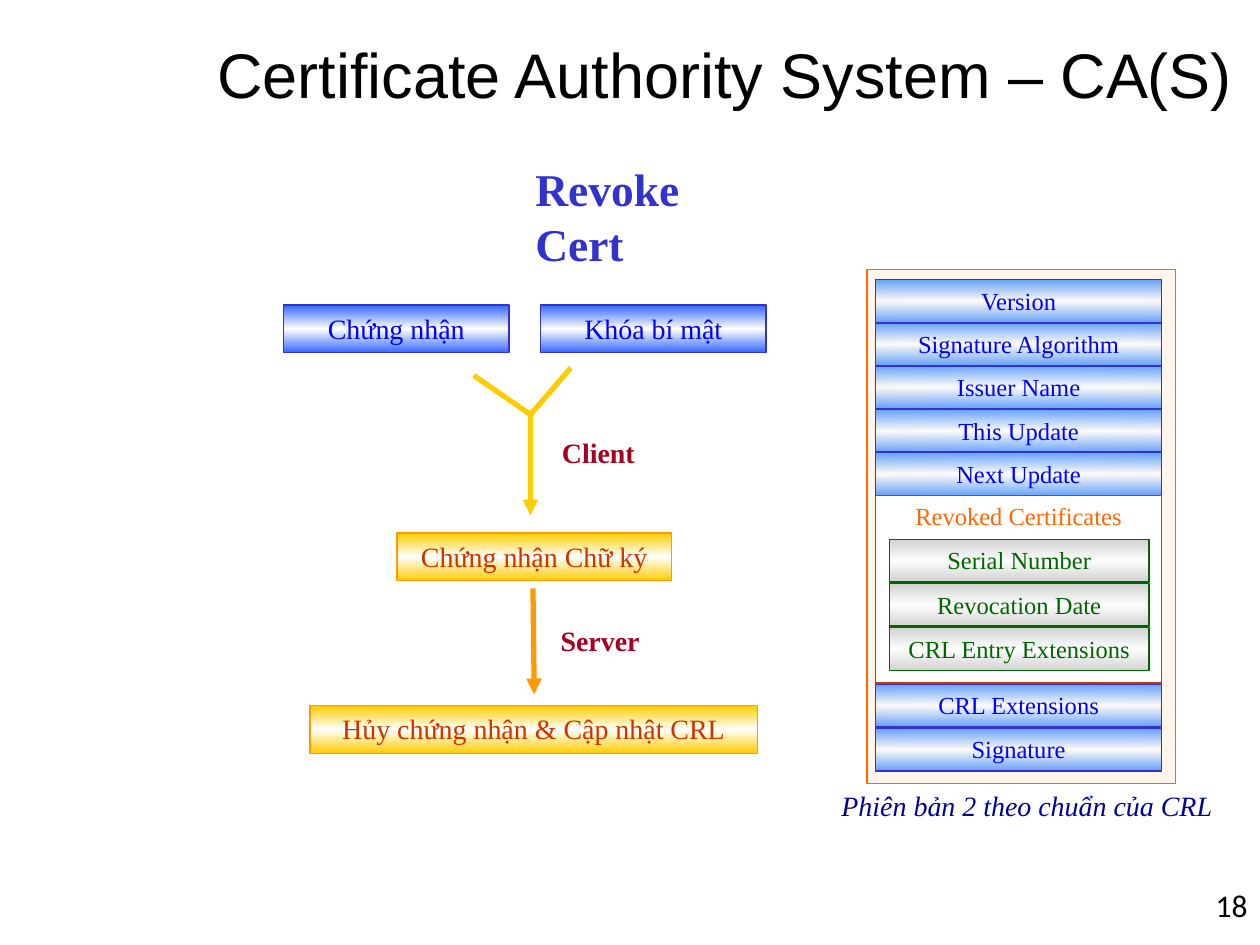
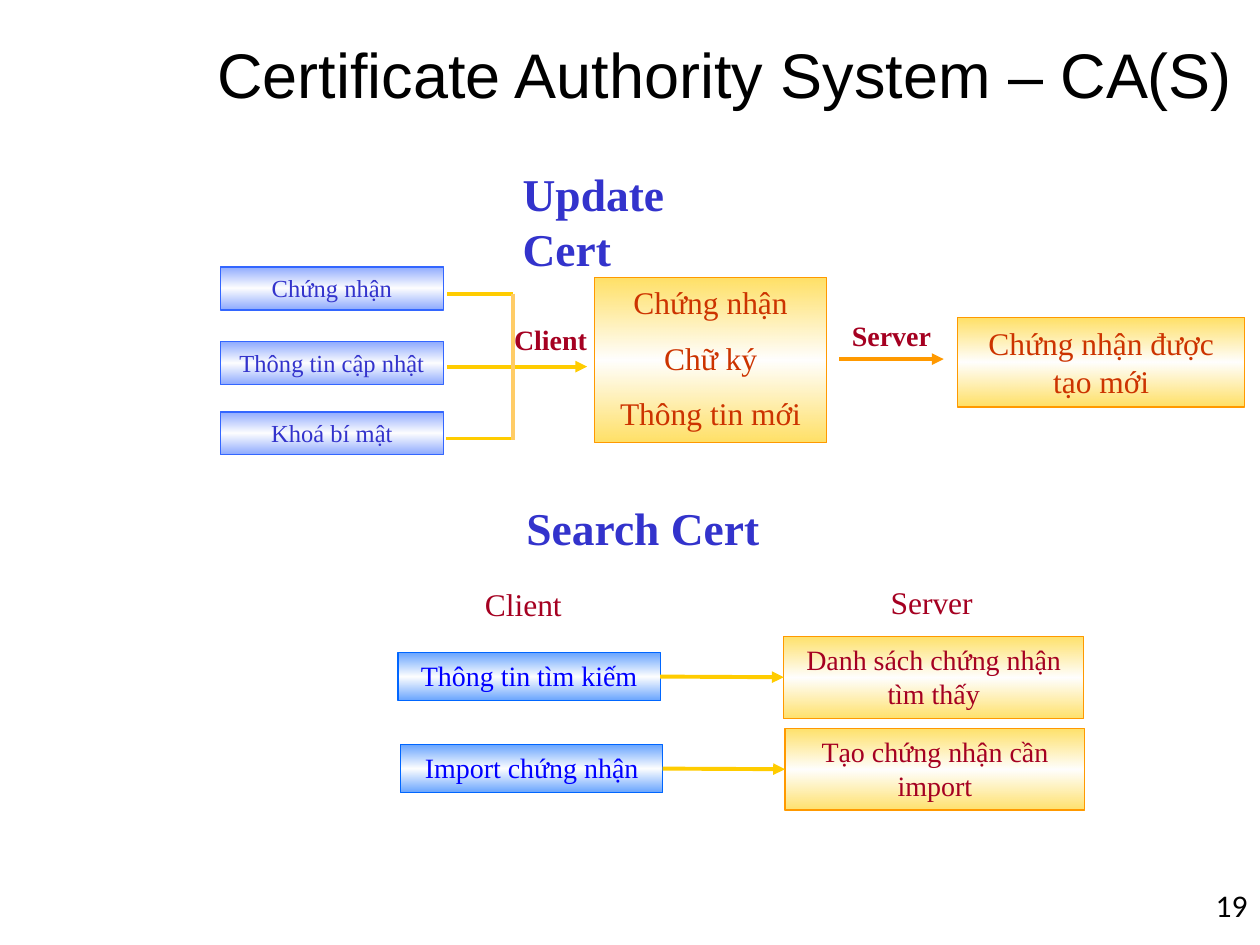
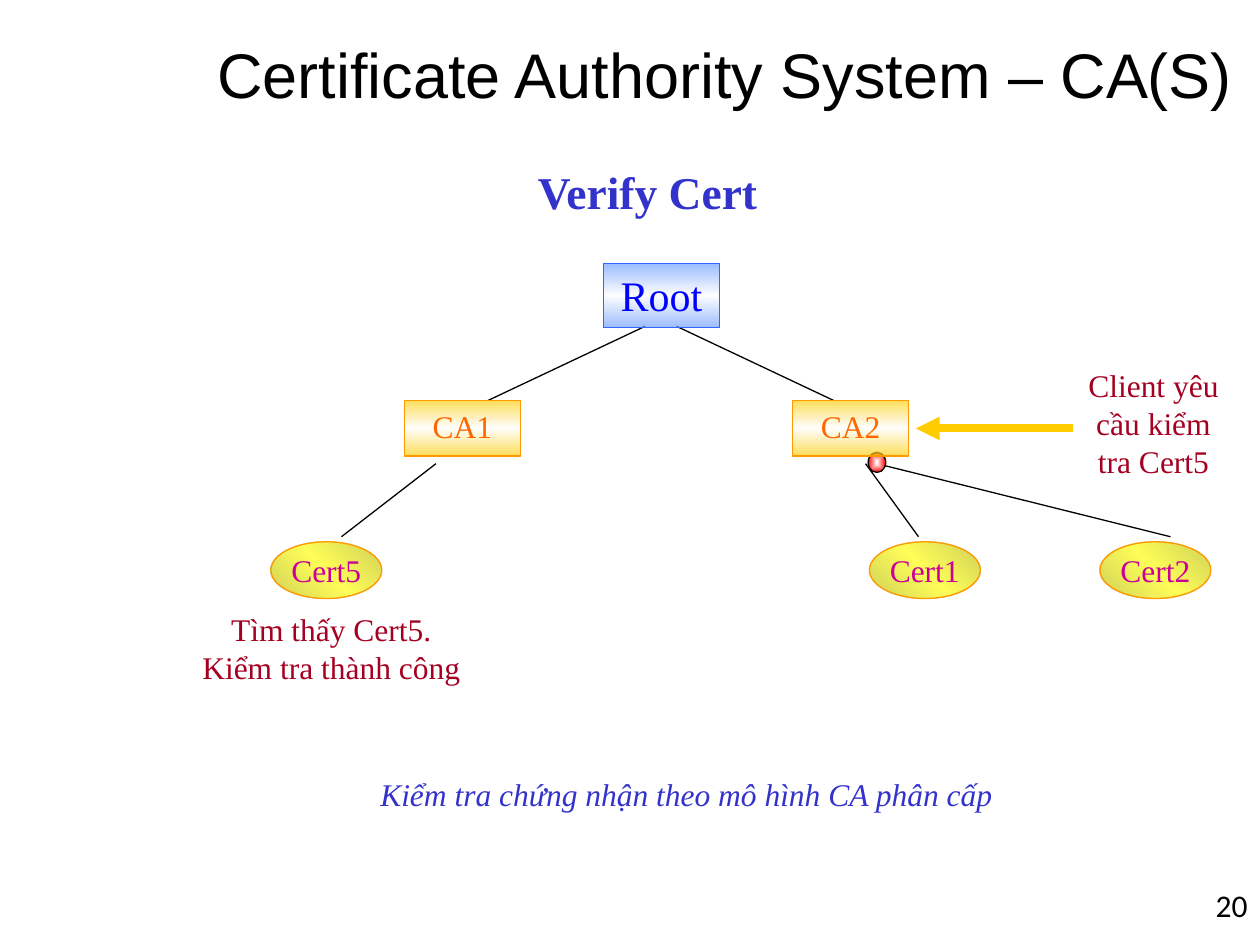
import dataclasses

import lxml.etree
import pptx
import pptx.dml.color
import pptx.enum.shapes
import pptx.enum.text
import pptx.oxml
import pptx.oxml.ns
import pptx.util

RGBColor = pptx.dml.color.RGBColor
SHAPES = pptx.enum.shapes.MSO_SHAPE
ALIGN = pptx.enum.text.PP_ALIGN
ANCHOR = pptx.enum.text.MSO_ANCHOR

# The slide is a grid of 100 columns by 75 rows.
SLIDE_WIDTH, SLIDE_HEIGHT = pptx.util.Inches(10), pptx.util.Inches(7.5)
COLUMN, ROW = SLIDE_WIDTH / 100, SLIDE_HEIGHT / 75

TITLE = "Certificate Authority System – CA(S)"
TITLE_FONT, BODY_FONT, NUMBER_FONT = "Arial", "Times New Roman", "Calibri"

BLACK = RGBColor(0x00, 0x00, 0x00)
WHITE = RGBColor(0xFF, 0xFF, 0xFF)
BLUE = RGBColor(0x00, 0x00, 0xFF)
INDIGO = RGBColor(0x33, 0x33, 0xCC)
NAVY = RGBColor(0x00, 0x00, 0x99)
ROYAL = RGBColor(0x33, 0x66, 0xFF)
AZURE = RGBColor(0x00, 0x66, 0xFF)
SKY = RGBColor(0x66, 0x99, 0xFF)
GOLD = RGBColor(0xFF, 0xCC, 0x00)
PALE_GOLD = RGBColor(0xFF, 0xCC, 0x66)
AMBER = RGBColor(0xFF, 0x99, 0x00)
PEACH = RGBColor(0xFF, 0xCC, 0x99)
ORANGE = RGBColor(0xFF, 0x66, 0x00)
RUST = RGBColor(0xCC, 0x33, 0x00)
CRIMSON = RGBColor(0xA5, 0x00, 0x21)
RED = RGBColor(0xFF, 0x00, 0x00)
GREEN = RGBColor(0x00, 0x66, 0x00)
GRAY = RGBColor(0xB2, 0xB2, 0xB2)
OLIVE = RGBColor(0xB6, 0xB6, 0x00)
YELLOW = RGBColor(0xFF, 0xFF, 0x00)
MAGENTA = RGBColor(0xCC, 0x00, 0x99)


@dataclasses.dataclass(frozen=True)
class BoxStyle:
    """A mirrored gradient from edge through middle to edge, with line and text."""
    edge: RGBColor
    line: RGBColor
    text: RGBColor
    size: int
    opacity: int = 100
    middle: RGBColor = WHITE
    angle: int = 90
    outline: SHAPES = SHAPES.RECTANGLE


REVOKE_INPUT = BoxStyle(ROYAL, INDIGO, BLUE, 16)
REVOKE_STEP = BoxStyle(GOLD, AMBER, RUST, 16)
CRL_FIELD = BoxStyle(AZURE, INDIGO, BLUE, 14, 60)
CRL_ENTRY = BoxStyle(GRAY, GREEN, GREEN, 14, 60)
UPDATE_INPUT = BoxStyle(ROYAL, ROYAL, INDIGO, 14, 56)
UPDATE_STEP = BoxStyle(GOLD, AMBER, RUST, 18, 60)
SEARCH_INPUT = BoxStyle(AZURE, AZURE, BLUE, 16, 60)
SEARCH_RESULT = BoxStyle(GOLD, AMBER, CRIMSON, 16, 58)
ROOT_NODE = BoxStyle(SKY, ROYAL, BLUE, 24, 65)
CA_NODE = BoxStyle(GOLD, AMBER, ORANGE, 18, 65)
CERT_NODE = BoxStyle(OLIVE, AMBER, MAGENTA, 18, 65, YELLOW, 315, SHAPES.OVAL)


def on_grid(left, top, width, height):
    return (round(left * COLUMN), round(top * ROW),
            round(width * COLUMN), round(height * ROW))


def write(frame, lines, size, color, font=BODY_FONT, align=ALIGN.CENTER,
          bold=False, italic=False, gap=0):
    """Write one paragraph per line, gap points apart."""
    for index, line in enumerate(lines.split("\n")):
        paragraph = frame.add_paragraph() if index else frame.paragraphs[0]
        paragraph.text = line
        paragraph.alignment = align
        if index and gap:
            paragraph.space_before = pptx.util.Pt(gap)
        paragraph.font.name = font
        paragraph.font.size = pptx.util.Pt(size)
        paragraph.font.bold = bold
        paragraph.font.italic = italic
        paragraph.font.color.rgb = color


def fill_gradient(shape, colors, opacity=100, angle=None):
    """Spread the colours evenly; without an angle they run from the rim inwards."""
    stops = "".join(
        f'<a:gs pos="{round(100000 * index / (len(colors) - 1))}">'
        f'<a:srgbClr val="{color}"><a:alpha val="{opacity * 1000}"/></a:srgbClr></a:gs>'
        for index, color in enumerate(colors))
    if angle is None:
        direction = ('<a:path path="shape"><a:fillToRect l="50000" t="50000" '
                     'r="50000" b="50000"/></a:path>')
    else:
        direction = f'<a:lin ang="{angle * 60000}" scaled="1"/>'
    gradient = pptx.oxml.parse_xml(
        f'<a:gradFill {pptx.oxml.ns.nsdecls("a")} rotWithShape="1">'
        f'<a:gsLst>{stops}</a:gsLst>{direction}</a:gradFill>')
    properties = shape.element.spPr
    properties.find(pptx.oxml.ns.qn("a:prstGeom")).addnext(gradient)


def add_outline(slide, outline, frame, line):
    shape = slide.shapes.add_shape(outline, *on_grid(*frame))
    shape.shadow.inherit = False
    shape.line.color.rgb = line
    shape.line.width = pptx.util.Pt(0.75)
    return shape


def add_box(slide, style, frame, text, gap=0):
    shape = add_outline(slide, style.outline, frame, style.line)
    fill_gradient(shape, (style.edge, style.middle, style.edge),
                  style.opacity, style.angle)
    is_rectangle = style.outline == SHAPES.RECTANGLE
    shape.text_frame.word_wrap = is_rectangle
    shape.text_frame.vertical_anchor = ANCHOR.TOP if is_rectangle else ANCHOR.MIDDLE
    write(shape.text_frame, text, style.size, style.text, gap=gap)
    return shape


def add_stack(slide, style, frame, step, labels):
    """Put equal boxes below one another, step rows apart."""
    left, top, width, height = frame
    for index, label in enumerate(labels):
        add_box(slide, style, (left, top + index * step, width, height), label)


def add_label(slide, frame, text, size, color=CRIMSON, **looks):
    label = slide.shapes.add_textbox(*on_grid(*frame))
    label.text_frame.word_wrap = True
    write(label.text_frame, text, size, color, **looks)


def add_heading(slide, left, top, width, text):
    add_label(slide, (left, top, width, 5.3), text, 26, INDIGO,
              align=ALIGN.LEFT, bold=True)


def add_line(slide, start, end, color, width, arrow=False):
    begin_x, begin_y, _, _ = on_grid(*start, 0, 0)
    end_x, end_y, _, _ = on_grid(*end, 0, 0)
    connector = slide.shapes.add_connector(
        pptx.enum.shapes.MSO_CONNECTOR.STRAIGHT, begin_x, begin_y, end_x, end_y)
    connector.line.color.rgb = color
    connector.line.width = pptx.util.Pt(width)
    if arrow:
        lxml.etree.SubElement(connector.line._get_or_add_ln(),
                              pptx.oxml.ns.qn("a:tailEnd"), type="triangle")
    lxml.etree.SubElement(connector.element.spPr, pptx.oxml.ns.qn("a:effectLst"))
    return connector


def add_slide(presentation, number):
    slide = presentation.slides.add_slide(presentation.slide_layouts[5])
    title = slide.shapes.title
    title.left, title.top, title.width, title.height = on_grid(15.1, 0.5, 84.9, 10.6)
    title.text_frame.word_wrap = True
    title.text_frame.vertical_anchor = ANCHOR.MIDDLE
    write(title.text_frame, TITLE, 36, BLACK, font=TITLE_FONT)
    add_label(slide, (76.7, 69.8, 23.3, 5.2), str(number), 18, BLACK,
              font=NUMBER_FONT, align=ALIGN.RIGHT)
    return slide


def add_crl_card(slide):
    card = add_outline(slide, SHAPES.RECTANGLE, (68.8, 21.4, 24.5, 40.8), ORANGE)
    fill_gradient(card, (WHITE, PEACH), 20)
    add_stack(slide, CRL_FIELD, (69.5, 22.2, 22.7, 3.4), 3.43,
              ("Version", "Signature Algorithm", "Issuer Name",
               "This Update", "Next Update"))
    add_stack(slide, CRL_FIELD, (69.5, 54.3, 22.7, 3.4), 3.5,
              ("CRL Extensions", "Signature"))
    revoked = add_outline(slide, SHAPES.RECTANGLE, (69.5, 39.3, 22.7, 14.9), RUST)
    revoked.fill.solid()
    revoked.fill.fore_color.rgb = WHITE
    revoked.text_frame.vertical_anchor = ANCHOR.TOP
    write(revoked.text_frame, "Revoked Certificates", 14, ORANGE)
    add_stack(slide, CRL_ENTRY, (70.6, 42.8, 20.6, 3.4), 3.5,
              ("Serial Number", "Revocation Date", "CRL Entry Extensions"))
    add_label(slide, (64.7, 62.1, 33.6, 3.7), "Phiên bản 2 theo chuẩn của CRL",
              16, NAVY, italic=True)


def build_revoke(presentation):
    slide = add_slide(presentation, 18)
    add_heading(slide, 41.5, 12.3, 20, "Revoke Cert")
    for left, text in ((22.5, "Chứng nhận"), (42.9, "Khóa bí mật")):
        add_box(slide, REVOKE_INPUT, (left, 24.2, 17.9, 3.8), text)
    junction = (42.1, 32.9)
    add_line(slide, (45.3, 29.2), junction, GOLD, 3)
    add_line(slide, (37.6, 29.8), junction, GOLD, 3)
    add_line(slide, junction, (42.1, 40.9), GOLD, 3, arrow=True)
    add_label(slide, (43, 34.1, 9, 3.7), "Client", 16, bold=True)
    add_box(slide, REVOKE_STEP, (31.5, 42.3, 21.8, 3.8), "Chứng nhận Chữ ký")
    add_line(slide, (42.3, 46.7), (42.4, 55.1), AMBER, 3, arrow=True)
    add_label(slide, (43.5, 49, 9.2, 3.7), "Server", 16, bold=True, align=ALIGN.LEFT)
    add_box(slide, REVOKE_STEP, (24.6, 56, 35.5, 3.8), "Hủy chứng nhận & Cập nhật CRL")
    add_crl_card(slide)


def add_update_flow(slide):
    add_heading(slide, 40.5, 12.7, 20, "Update Cert")
    for top, text in ((21.2, "Chứng nhận"), (27.1, "Thông tin cập nhật"),
                      (32.7, "Khoá bí mật")):
        add_box(slide, UPDATE_INPUT, (17.5, top, 17.7, 3.4), text)
    add_box(slide, UPDATE_STEP, (47.2, 22, 18.4, 13.1),
            "Chứng nhận\nChữ ký\nThông tin mới", gap=10)
    add_box(slide, UPDATE_STEP, (76, 25.2, 22.8, 7.1), "Chứng nhận được tạo mới")
    add_label(slide, (39.5, 25.1, 8.4, 3.7), "Client", 16, bold=True)
    add_line(slide, (35.5, 29.1), (46.6, 29.1), GOLD, 2.25, arrow=True)
    add_line(slide, (35.4, 34.8), (40.6, 34.8), GOLD, 2.25)
    add_line(slide, (35.5, 23.3), (40.7, 23.3), GOLD, 2.25)
    add_line(slide, (40.7, 23.3), (40.7, 34.9), PALE_GOLD, 2.25)
    add_label(slide, (66.3, 24.8, 8.9, 3.7), "Server", 16, bold=True)
    add_line(slide, (66.6, 28.5), (74.9, 28.5), AMBER, 2.25, arrow=True)


def add_search_flow(slide):
    add_heading(slide, 40.8, 39.2, 23, "Search Cert")
    add_label(slide, (37.5, 45.9, 9, 4), "Client", 18, align=ALIGN.LEFT)
    add_label(slide, (69.7, 45.8, 9, 4), "Server", 18, align=ALIGN.LEFT)
    rows = ((31.6, 51.8, "Thông tin tìm kiếm",
             62.2, 50.5, "Danh sách chứng nhận tìm thấy"),
            (31.8, 59.1, "Import chứng nhận",
             62.3, 57.8, "Tạo chứng nhận cần import"))
    for left, top, request, result_left, result_top, result in rows:
        client = add_box(slide, SEARCH_INPUT, (left, top, 20.8, 3.8), request)
        server = add_box(slide, SEARCH_RESULT, (result_left, result_top, 23.8, 6.5), result)
        arrow = add_line(slide, (left + 20.8, top + 1.9), (result_left, top + 1.9),
                         GOLD, 2.25, arrow=True)
        arrow.begin_connect(client, 3)
        arrow.end_connect(server, 1)


def build_update_and_search(presentation):
    slide = add_slide(presentation, 19)
    add_update_flow(slide)
    add_search_flow(slide)


def build_verify(presentation):
    slide = add_slide(presentation, 20)
    add_heading(slide, 41.7, 12.5, 23, "Verify Cert")
    branches = (((51.2, 25.9), (38.7, 31.8)), ((53.7, 25.9), (66.2, 31.8)),
                ((68.7, 36.8), (72.9, 42.6)), ((69.6, 36.8), (92.9, 42.6)),
                ((34.6, 36.8), (27.1, 42.6)))
    for start, end in branches:
        add_line(slide, start, end, BLACK, 0.75)
    add_label(slide, (84.7, 28.6, 13.7, 11), "Client yêu cầu kiểm tra Cert5", 18)
    add_line(slide, (85.2, 34), (72.7, 34), GOLD, 4.5, arrow=True)
    request_dot = add_outline(slide, SHAPES.OVAL, (68.9, 35.9, 1.4, 1.6), BLACK)
    fill_gradient(request_dot, (WHITE, RED))
    add_box(slide, ROOT_NODE, (47.9, 20.9, 9.2, 5.1), "Root")
    for left, text in ((32.1, "CA1"), (62.9, "CA2")):
        add_box(slide, CA_NODE, (left, 31.8, 9.2, 4.4), text)
    for left, text in ((21.5, "Cert5"), (69, "Cert1"), (87.3, "Cert2")):
        add_box(slide, CERT_NODE, (left, 43, 8.8, 4.5), text)
    add_label(slide, (13, 47.9, 26.6, 7.7), "Tìm thấy Cert5.\nKiểm tra thành công", 18)
    add_label(slide, (29.2, 61, 52, 4), "Kiểm tra chứng nhận theo mô hình CA phân cấp",
              18, INDIGO, align=ALIGN.LEFT, italic=True)


def main():
    presentation = pptx.Presentation()
    presentation.slide_width = SLIDE_WIDTH
    presentation.slide_height = SLIDE_HEIGHT
    build_revoke(presentation)
    build_update_and_search(presentation)
    build_verify(presentation)
    presentation.save("out.pptx")


if __name__ == "__main__":
    main()
